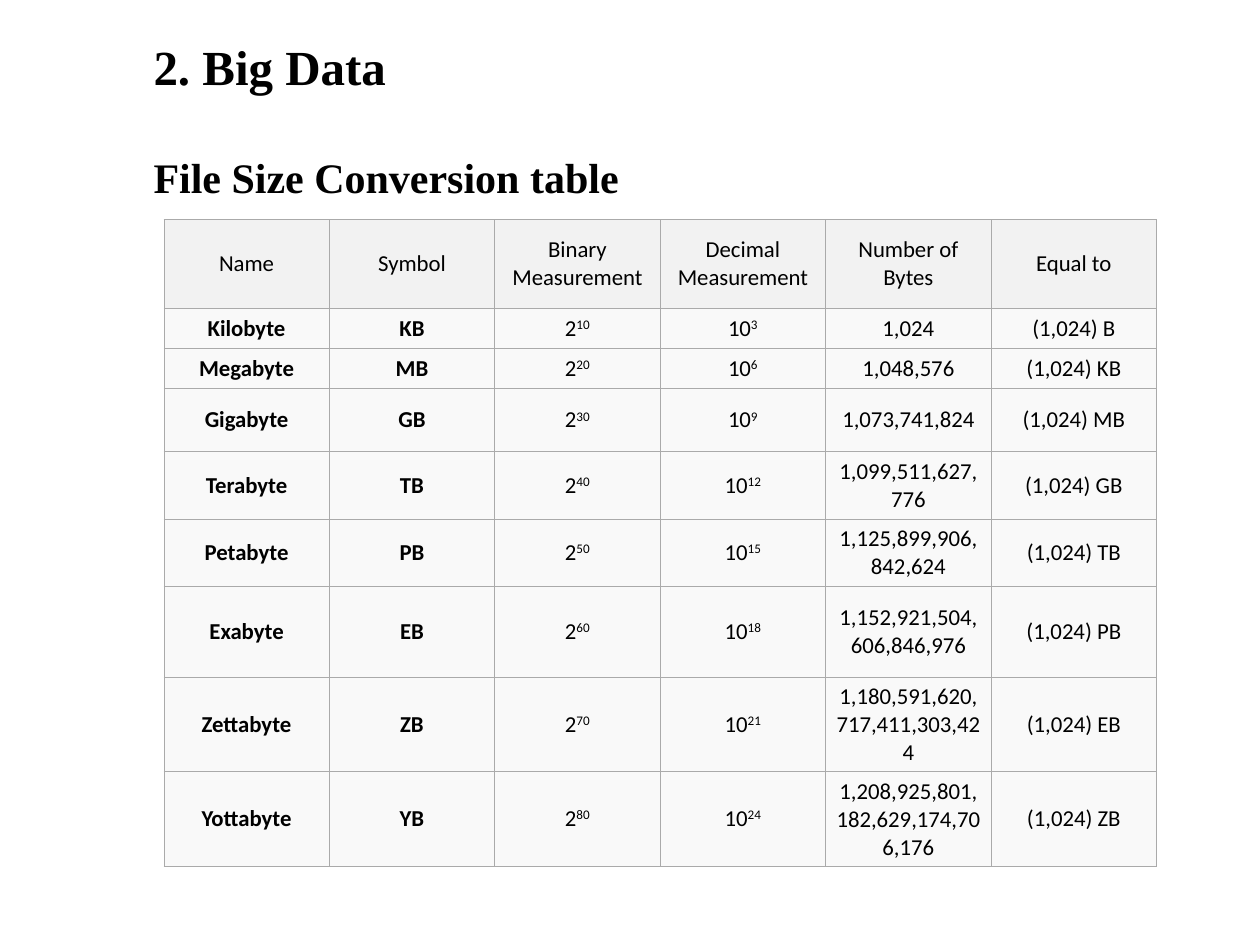
from dataclasses import dataclass

from lxml import etree
from pptx import Presentation
from pptx.dml.color import RGBColor
from pptx.enum.text import MSO_ANCHOR, MSO_AUTO_SIZE, PP_ALIGN
from pptx.oxml.ns import qn
from pptx.util import Inches, Pt

MIDDLE = MSO_ANCHOR.MIDDLE
GROW = MSO_AUTO_SIZE.SHAPE_TO_FIT_TEXT
CENTER = PP_ALIGN.CENTER
WIDE, HIGH = Inches(10), Inches(7.5)


@dataclass(frozen=True)
class Theme:
    ink: str = "000000"
    rule: str = "AAAAAA"
    head: str = "F2F2F2"
    body: str = "F9F9F9"
    serif: str = "Times New Roman"
    sans: str = "Calibri"
    title: float = 28
    sub: float = 24
    cell: float = 13
    line: float = 0.34


@dataclass(frozen=True)
class Heading:
    """Heading text with its top, width and height as shares of the slide."""
    text: str
    size: float
    top: float
    width: float
    height: float


@dataclass(frozen=True)
class Unit:
    name: str
    count: str
    height: float


THEME = Theme()
LEFT = 0.112
HEADINGS = [
    Heading("File Size Conversion table", THEME.sub, 1.15 / 7.5, 0.632, 0.5 / 7.5),
    Heading("2. Big Data", THEME.title, 0.24 / 7.5, 0.522, 0.57 / 7.5),
]
LABELS = ["Name", "Symbol", "Binary Measurement", "Decimal Measurement",
          "Number of Bytes", "Equal to"]
HEAD_HIGH = 0.71
UNITS = [
    Unit("Kilobyte", "1,024", 0.29),
    Unit("Megabyte", "1,048,576", 0.29),
    Unit("Gigabyte", "1,073,741,824", 0.5),
    Unit("Terabyte", "1,099,511,627,776", 0.51),
    Unit("Petabyte", "1,125,899,906,842,624", 0.51),
    Unit("Exabyte", "1,152,921,504,606,846,976", 0.72),
    Unit("Zettabyte", "1,180,591,620,717,411,303,424", 0.72),
    Unit("Yottabyte", "1,208,925,801,182,629,174,706,176", 0.72),
]
INSETS = {"margin_left": Inches(0.07), "margin_right": Inches(0.07),
          "margin_top": Inches(0.05), "margin_bottom": Inches(0.05),
          "vertical_anchor": MIDDLE}


def add_run(para, text: str, face: str, size: float, bold: bool = False):
    run = para.add_run()
    run.text = text
    style = {"name": face, "size": Pt(size), "bold": bold}
    for key, value in style.items():
        setattr(run.font, key, value)
    run.font.color.rgb = RGBColor.from_string(THEME.ink)
    return run


def add_heading(slide, item: Heading) -> None:
    box = slide.shapes.add_textbox(
        round(WIDE * LEFT), round(HIGH * item.top),
        round(WIDE * item.width), round(HIGH * item.height))
    frame = box.text_frame
    frame.word_wrap = True
    frame.auto_size = GROW
    add_run(frame.paragraphs[0], item.text, THEME.serif, item.size, True)


def add_rules(cell) -> None:
    """Draw a thin line on all four sides of the cell."""
    props = cell._tc.get_or_add_tcPr()
    for spot, side in enumerate(("a:lnL", "a:lnR", "a:lnT", "a:lnB")):
        line = etree.Element(qn(side), w=str(Pt(THEME.line)))
        fill = etree.SubElement(line, qn("a:solidFill"))
        etree.SubElement(fill, qn("a:srgbClr"), val=THEME.rule)
        props.insert(spot, line)


def fill_cell(cell, text: str, fill: str, bold: bool = False,
              power: str = "") -> None:
    for key, value in INSETS.items():
        setattr(cell, key, value)
    cell.fill.solid()
    cell.fill.fore_color.rgb = RGBColor.from_string(fill)
    add_rules(cell)
    para = cell.text_frame.paragraphs[0]
    para.alignment = CENTER
    add_run(para, text, THEME.sans, THEME.cell, bold)
    if power:
        run = add_run(para, power, THEME.sans, THEME.cell, bold)
        run.font._element.set("baseline", "30000")


def add_sizes(slide) -> None:
    """Each unit is 2 to the 10n, about 10 to the 3n, and 1,024 of the last."""
    highs = [HEAD_HIGH] + [unit.height for unit in UNITS]
    frame = slide.shapes.add_table(
        len(highs), len(LABELS), round(WIDE * 0.13), Inches(1.74),
        round(WIDE * 0.788), Inches(sum(highs)))
    table = frame.table
    table.first_row = table.horz_banding = False
    for row, high in zip(table.rows, highs):
        row.height = Inches(high)
    for col, label in enumerate(LABELS):
        fill_cell(table.cell(0, col), label, THEME.head)
    last = "B"
    for row, unit in enumerate(UNITS, 1):
        sign = unit.name[0] + "B"
        cells = [(unit.name, True, ""), (sign, True, ""),
                 ("2", False, str(10 * row)), ("10", False, str(3 * row)),
                 (unit.count, False, ""), (f"(1,024) {last}", False, "")]
        for col, (text, bold, power) in enumerate(cells):
            fill_cell(table.cell(row, col), text, THEME.body, bold, power)
        last = sign


def main() -> None:
    deck = Presentation()
    deck.slide_width, deck.slide_height = WIDE, HIGH
    slide = deck.slides.add_slide(deck.slide_layouts[6])
    for item in HEADINGS:
        add_heading(slide, item)
    add_sizes(slide)
    deck.save("out.pptx")


if __name__ == "__main__":
    main()
